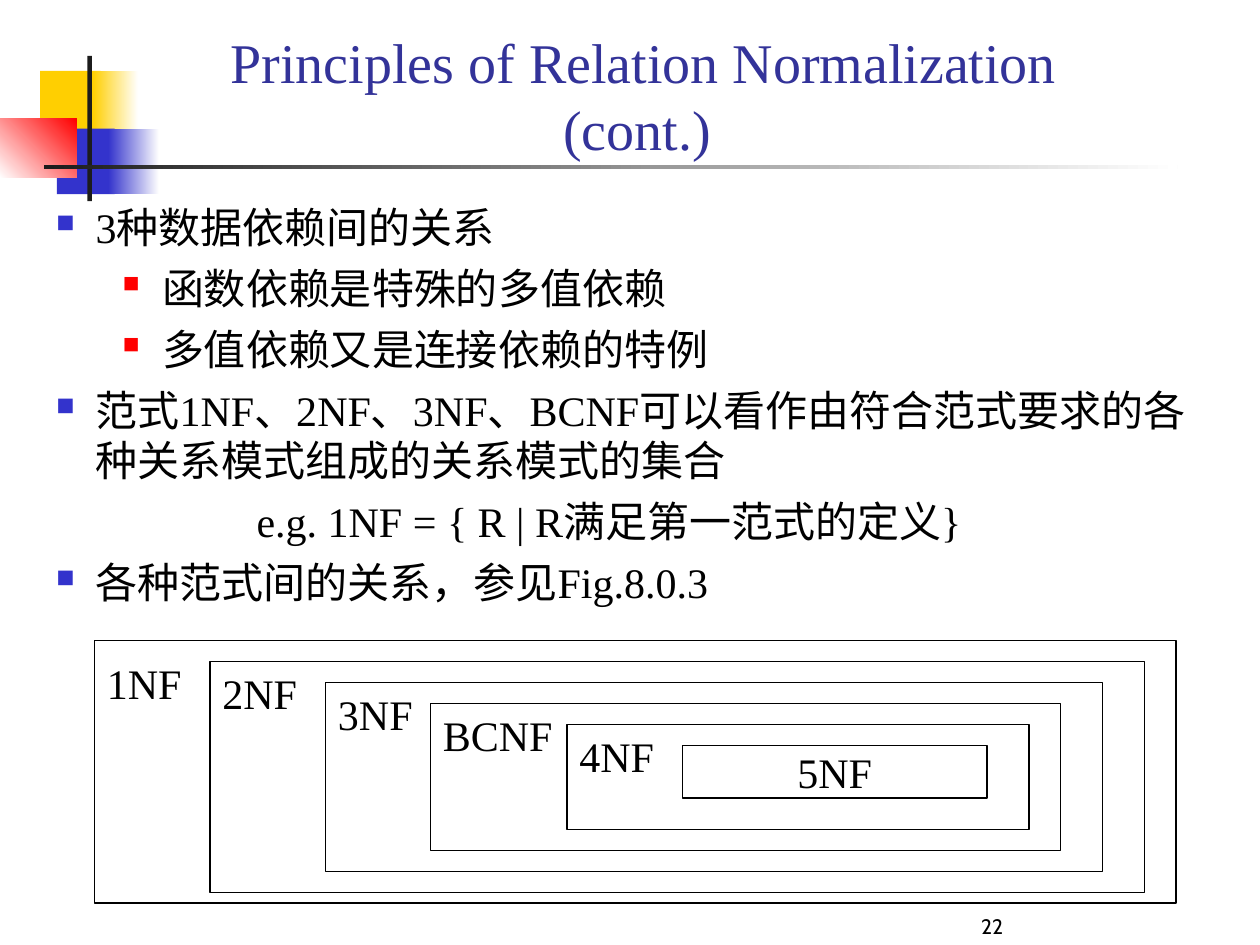
from lxml import etree
from pptx import Presentation, util as u
from pptx.dml.color import RGBColor
from pptx.enum import shapes, text
from pptx.oxml.ns import qn

COLOURS = {
    "black": "000000", "white": "FFFFFF", "ink": "1C1C1C", "yellow": "FFCF01",
    "blue": "3333CC", "red": "FF0000", "title": "333399",
}
CENTRE = text.PP_ALIGN.CENTER
MIDDLE, BOTTOM = text.MSO_ANCHOR.MIDDLE, text.MSO_ANCHOR.BOTTOM


def colour(name):
    return RGBColor.from_string(COLOURS[name])


class Painter:
    """Holds the text style and the slide being filled."""

    def __init__(self, page, font="Times New Roman", size=24):
        self.page, self.font, self.size = page, font, size

    def rect(self, place, fill=None, fade=None, angle=0, line=None):
        """Fill is plain, or a gradient from fill to fade."""
        box = self.page.shapes.add_shape(
            shapes.MSO_SHAPE.RECTANGLE, *(u.Pt(v) for v in place))
        box.shadow.inherit = False
        if fade:
            box.fill.gradient()
            box.fill.gradient_angle = angle
            for stop, name in zip(box.fill.gradient_stops, (fill, fade)):
                stop.color.rgb = colour(name)
        elif fill:
            box.fill.solid()
            box.fill.fore_color.rgb = colour(fill)
        else:
            box.fill.background()
        if line:
            box.line.color.rgb = colour(line)
            box.line.width = u.Pt(0.75)
        else:
            box.line.fill.background()
        return box

    def textbox(self, place, wrap=True, anchor=None):
        box = self.page.shapes.add_textbox(*(u.Pt(v) for v in place))
        box.text_frame.word_wrap = wrap
        if anchor is not None:
            box.text_frame.vertical_anchor = anchor
        return box

    def span(self, para, words, align=None, size=None, font=None, ink="black"):
        if align is not None:
            para.alignment = align
        span = para.add_run()
        span.text = words
        span.font.size = u.Pt(size or self.size)
        span.font.name = font or self.font
        span.font.color.rgb = colour(ink)

    def indent(self, para, margin, hang=0, bullet=None, percent=60):
        """Sets the left margin and, when a bullet colour is given, a square bullet."""
        props = para._p.get_or_add_pPr()
        props.set("marL", str(u.Pt(margin)))
        props.set("indent", str(u.Pt(-hang)))
        if bullet:
            tint = etree.SubElement(props, qn("a:buClr"))
            etree.SubElement(tint, qn("a:srgbClr"), val=COLOURS[bullet])
            etree.SubElement(props, qn("a:buSzPct"), val=str(percent * 1000))
            etree.SubElement(props, qn("a:buChar"), char="■")


def draw_ornament(painter):
    painter.rect((23, 40.5, 34.5, 37.5), "yellow")
    painter.rect((53, 40.5, 26, 37.5), "yellow", "white")
    painter.rect((32.5, 73.5, 33, 37.5), "blue")
    painter.rect((62, 73.5, 29, 37.5), "blue", "white")
    painter.rect((0, 68, 44, 33.5), "white", "red", angle=45)
    painter.rect((50, 32, 2.5, 83), "ink")
    painter.rect((25, 94.5, 648, 2.25), "ink", "white")


def draw_body(painter):
    top_level = dict(margin=22.5, hang=22.5, bullet="blue")
    sub_level = dict(margin=60.5, hang=22.5, bullet="red", percent=55)
    lines = [
        ("3种数据依赖间的关系", top_level),
        ("函数依赖是特殊的多值依赖", sub_level),
        ("多值依赖又是连接依赖的特例", sub_level),
        ("范式1NF、2NF、3NF、BCNF可以看作由符合范式要求的各种关系模式组成的关系模式的集合", top_level),
        ("e.g. 1NF = { R | R满足第一范式的定义}", dict(margin=114.5)),
        ("各种范式间的关系，参见Fig.8.0.3", top_level),
    ]
    frame = painter.textbox((25, 111.5, 666, 390)).text_frame
    for number, (words, style) in enumerate(lines):
        para = frame.add_paragraph() if number else frame.paragraphs[0]
        if number:
            para.space_before = u.Pt(6)
        para.level = int(style is sub_level)
        painter.indent(para, **style)
        painter.span(para, words)


def draw_normal_forms(painter):
    forms = [  # name, left, width, height
        ("1NF", 54, 618, 150), ("2NF", 120, 534, 132), ("3NF", 186, 444, 108),
        ("BCNF", 246, 360, 84), ("4NF", 324, 264, 60), ("5NF", 390, 174, 30),
    ]
    for depth, (name, left, width, height) in enumerate(forms):
        top = 366 + 12 * depth
        box = painter.rect((left, top, width, height), line="black")
        if name == "5NF":
            box.text_frame.word_wrap = False
            box.text_frame.vertical_anchor = MIDDLE
            painter.span(box.text_frame.paragraphs[0], name, CENTRE)
            continue
        label_top = top if depth else top + 6
        label_width = 77 if name == "BCNF" else 57
        label = painter.textbox((left, label_top, label_width, 36), wrap=False)
        painter.span(label.text_frame.paragraphs[0], name)


def main():
    deck = Presentation()
    deck.slide_width, deck.slide_height = u.Pt(720), u.Pt(540)
    painter = Painter(deck.slides.add_slide(deck.slide_layouts[6]))
    draw_ornament(painter)
    draw_body(painter)
    draw_normal_forms(painter)
    title = painter.textbox((110, 0, 516, 96), anchor=BOTTOM)
    painter.span(title.text_frame.paragraphs[0],
                 "Principles of Relation Normalization (cont.) ",
                 CENTRE, size=32, ink="title")
    number = painter.textbox((492, 504, 150, 36), anchor=BOTTOM)
    painter.span(number.text_frame.paragraphs[0], "22", CENTRE, size=12, font="Cabin")
    deck.save("out.pptx")


if __name__ == "__main__":
    main()
